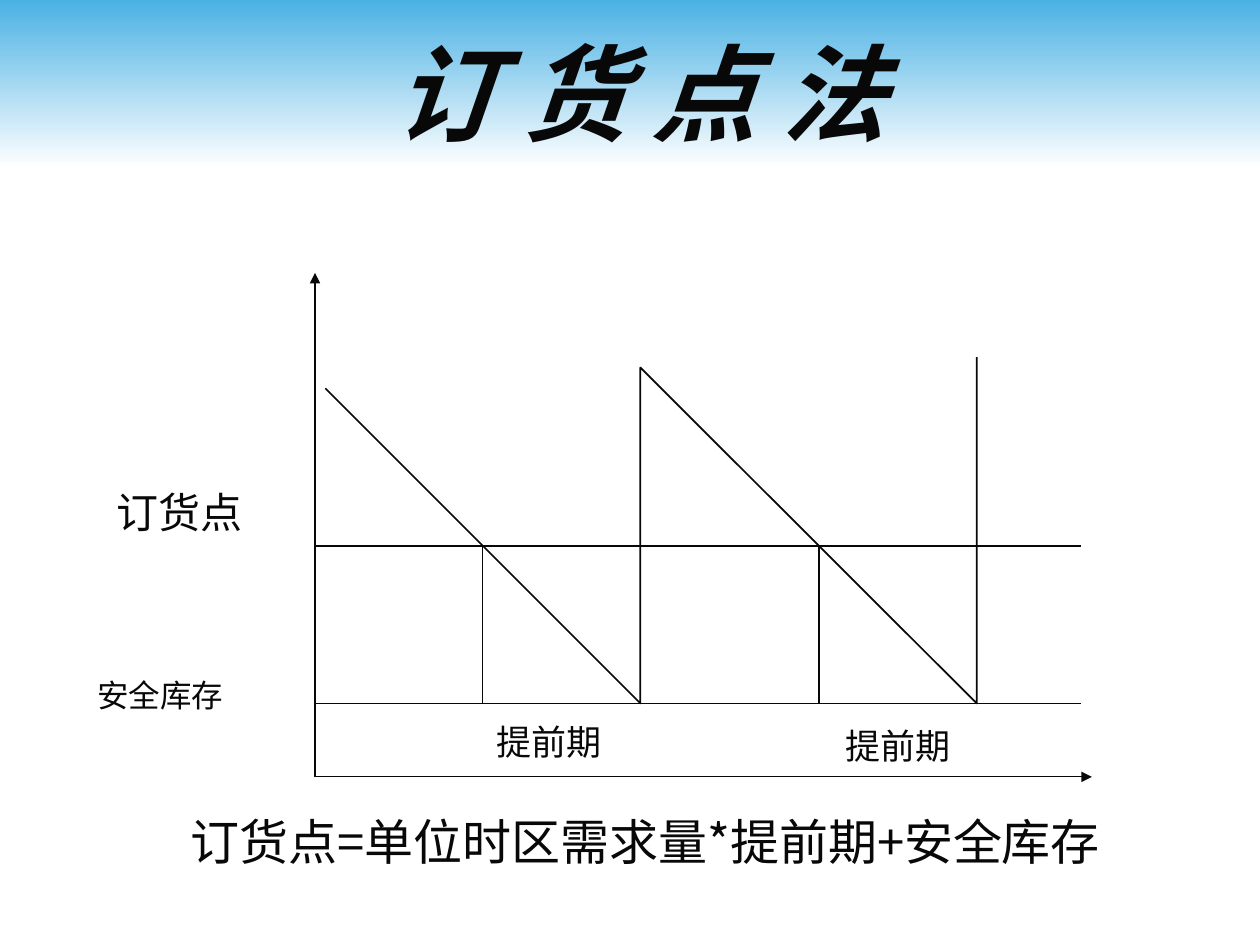
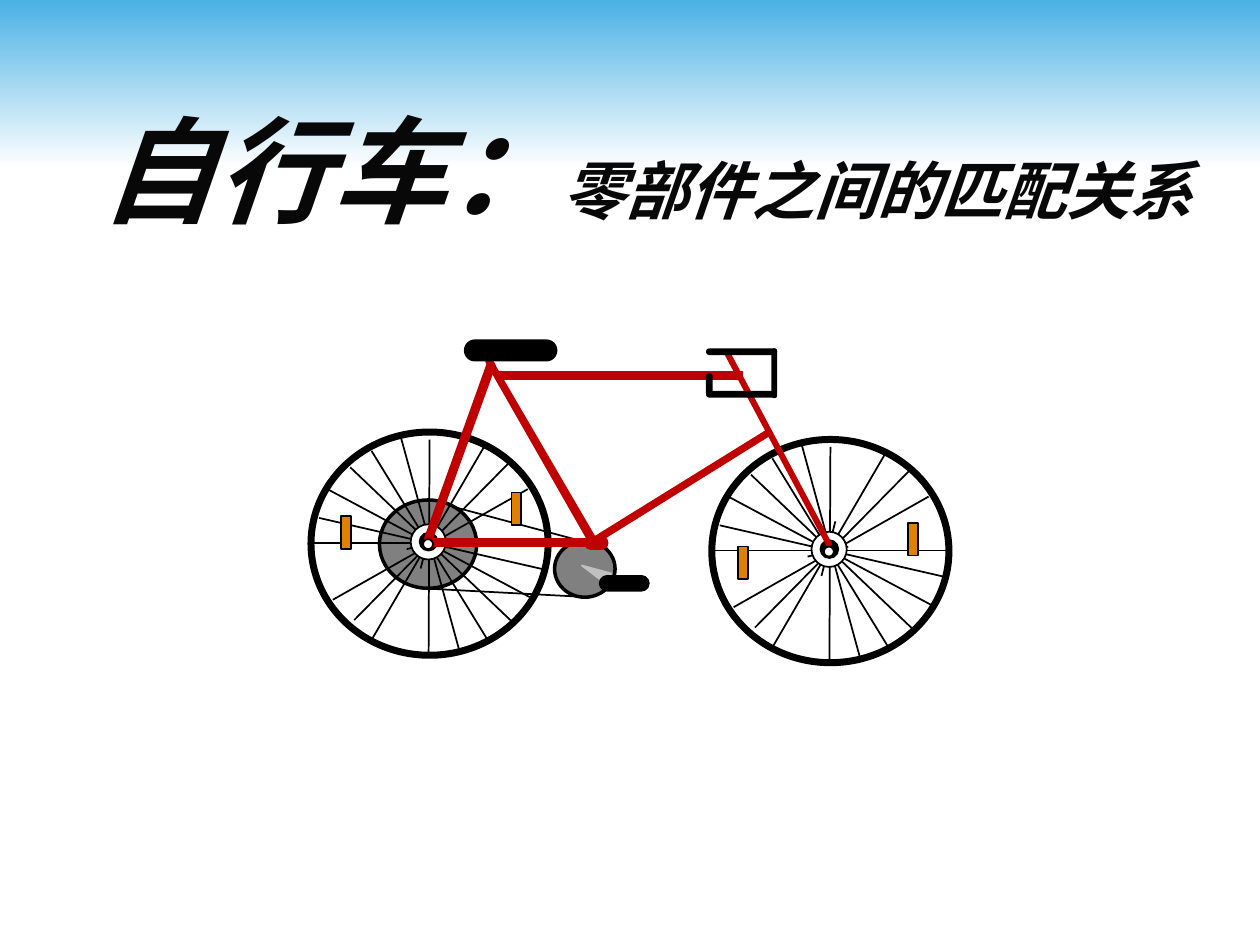
from lxml import etree
from pptx import Presentation
from pptx.dml.color import RGBColor
from pptx.enum.shapes import MSO_CONNECTOR, MSO_SHAPE
from pptx.enum.text import MSO_ANCHOR, MSO_AUTO_SIZE, PP_ALIGN
from pptx.oxml.ns import qn
from pptx.util import Cm, Pt

RECT, ROUND, OVAL = MSO_SHAPE.RECTANGLE, MSO_SHAPE.ROUNDED_RECTANGLE, MSO_SHAPE.OVAL
LEFT, CENTER = PP_ALIGN.LEFT, PP_ALIGN.CENTER
STRAIGHT = MSO_CONNECTOR.STRAIGHT
MIDDLE, TOP = MSO_ANCHOR.MIDDLE, MSO_ANCHOR.TOP
FIXED = MSO_AUTO_SIZE.NONE

SKY = RGBColor(0x4A, 0xB1, 0xE4)
WHITE = RGBColor(0xFF, 0xFF, 0xFF)
INK = RGBColor(0x08, 0x08, 0x08)
BLACK = RGBColor(0, 0, 0)
RED = RGBColor(0xC0, 0, 0)
GREY = RGBColor(0x80, 0x80, 0x80)
SILVER = RGBColor(0xC0, 0xC0, 0xC0)
AMBER = RGBColor(0xE0, 0x80, 0)

HAN, HAN_SC = "Noto Sans CJK JP", "Noto Sans CJK SC"
ARIAL, QUICK = "Arial", "Quicksand"


def line(slide, ends, color, width=1, arrow=False):
    link = slide.shapes.add_connector(STRAIGHT, *map(Cm, ends))
    link.line.color.rgb = color
    link.line.width = Pt(width)
    props = link.element.spPr
    if arrow:
        etree.SubElement(props.find(qn("a:ln")), qn("a:tailEnd"), type="triangle")
    etree.SubElement(props, qn("a:effectLst"))


def part(slide, form, spot, fill, rim, width=1):
    """Draw a preset in the box spot, or with form None an outline through its points."""
    if form is None:
        dots = [(Cm(x), Cm(y)) for x, y in spot]
        pen = slide.shapes.build_freeform(*dots[0])
        pen.add_line_segments(dots[1:], close=fill is not None)
        item = pen.convert_to_shape()
    else:
        item = slide.shapes.add_shape(form, *map(Cm, spot))
    if form == ROUND:
        item.adjustments[0] = 0.5
    item.shadow.inherit = False
    if fill is None:
        item.fill.background()
    else:
        item.fill.solid()
        item.fill.fore_color.rgb = fill
    item.line.color.rgb = rim
    item.line.width = Pt(width)
    return item


deck = Presentation()
deck.slide_width, deck.slide_height = Cm(25.4), Cm(19.05)
layout = deck.slide_layouts[5]
stock = deck.slides.add_slide(layout)
bike = deck.slides.add_slide(layout)

# Shared band, placed behind everything on the layout
band = part(stock, RECT, (0, 0, 25.4, 3.39), SKY, SKY)
band.line.fill.background()
band.fill.gradient()
band.fill.gradient_angle = 270
for stop, color in zip(band.fill.gradient_stops, (SKY, WHITE)):
    stop.color.rgb = color
layout.shapes.element.insert(2, band.element)

# Stock chart
x0, y0, right = 6.35, 15.66, 21.8
order, safe = 11, 14.18
for level in (order, safe):
    line(stock, (x0, level, right, level), INK)
saw = [(6.56, 7.83), (12.91, safe), (12.91, 7.41), (19.69, safe), (19.69, 7.2)]
part(stock, None, saw, None, INK)
for x in (9.73, 16.51):
    line(stock, (x, order, x, safe), INK, 0.75)
for tip in ((x0, 5.5), (22.01, y0)):
    line(stock, (x0, y0, *tip), INK, 0.75, arrow=True)

# Chain wheels and chain
line(bike, (8.74, 10.11, 11.96, 10.97), BLACK)
for spot in ((11.18, 10.9, 1.22, 1.14), (7.65, 10.08, 1.96, 1.78)):
    part(bike, OVAL, spot, GREY, BLACK, 2)

# Wheels: the front one repeats the rear one, shifted
spokes = [
    (7.49, 9.09, 9.83, 12.9), (7.49, 12.9, 9.78, 8.97),
    (6.32, 10.95, 11.02, 10.95), (6.6, 9.86, 10.74, 12.07),
    (8.66, 8.86, 8.64, 13.18), (6.71, 12.09, 10.64, 9.86),
    (8.2, 11.07, 9.02, 10.87), (7.06, 9.42, 10.34, 12.55),
    (8.08, 8.81, 9.25, 13.08), (8.76, 10.36, 8.48, 11.46),
    (10.24, 9.35, 7.14, 12.5), (6.43, 10.44, 10.97, 11.48),
]
shifts = [(0, 0), (8.08, 0.15)]
for dx, dy in shifts:
    part(bike, OVAL, (6.27 + dx, 8.71 + dy, 4.78, 4.5), None, BLACK, 4)
    for xa, ya, xb, yb in spokes:
        line(bike, (xa + dx, ya + dy, xb + dx, yb + dy), BLACK)
    part(bike, OVAL, (8.28 + dx, 10.57 + dy, 0.71, 0.71), WHITE, BLACK)
    part(bike, OVAL, (8.46 + dx, 10.74 + dy, 0.36, 0.36), BLACK, BLACK)

# Frame, saddle and fork
frame = [
    (RECT, (10.01, 7.49, 4.95, 0.15)),
    (None, [(11.91, 11.02), (15.49, 8.79), (15.44, 8.69), (11.84, 10.92)]),
    (None, [(9.88, 7.21), (9.8, 7.29), (11.96, 11.07), (12.09, 11)]),
    (None, [(9.88, 7.19), (8.56, 10.87), (8.71, 10.87), (9.98, 7.37)]),
    (RECT, (8.56, 10.87, 3.45, 0.15)),
    (ROUND, (11.79, 10.82, 0.46, 0.25)),
    (None, [(14.58, 7.06), (14.68, 7.06), (16.76, 10.97), (16.69, 11.02)]),
]
for form, spot in frame:
    part(bike, form, spot, RED, RED)
part(bike, ROUND, (9.37, 6.86, 1.85, 0.41), BLACK, BLACK)

# Axles and reflectors
for dx, dy in shifts:
    part(bike, OVAL, (8.53 + dx, 10.87 + dy, 0.2, 0.2), WHITE, BLACK)
for dx, dy in ((0, 0), (8, 0.61)):
    for x, y in ((6.88, 10.41), (10.31, 9.93)):
        part(bike, RECT, (x + dx, y + dy, 0.2, 0.66), AMBER, BLACK)

# Lower chain, handlebar, crank and pedal
line(bike, (8.51, 11.86, 11.91, 12.04), BLACK)
bars = [(14.25, 7.04, 1.4, 0.1), (14.25, 7.54, 0.1, 0.43),
        (15.57, 7.04, 0.08, 0.97), (14.25, 7.9, 1.37, 0.1)]
for spot in bars:
    part(bike, ROUND, spot, BLACK, BLACK)
part(bike, None, [(11.73, 11.4), (12.24, 11.79), (12.32, 11.56)], SILVER, SILVER)
part(bike, ROUND, (12.09, 11.61, 0.99, 0.3), BLACK, BLACK)

# Texts: slide, is title, box, alignment, wrap, runs of (text, size, font)
texts = [
    (stock, True, (1.27, 0.64, 22.86, 2.41), CENTER, True,
     [(" ", 48, ARIAL), ("订 货 点 法", 60, HAN)]),
    (stock, False, (1.9, 9.68, 4.24, 1.27), LEFT, True,
     [(" ", 24, HAN_SC), ("订货点", 24, HAN)]),
    (stock, False, (1.45, 13.51, 3.43, 1.02), CENTER, False,
     [(" ", 18, HAN_SC), ("安全库存", 18, HAN)]),
    (stock, False, (8.99, 14.4, 4.01, 1.09), CENTER, True,
     [(" ", 20, QUICK), ("提前期", 20, HAN)]),
    (stock, False, (15.34, 14.48, 5.38, 1.09), CENTER, True,
     [(" ", 20, QUICK), ("提前期", 20, HAN)]),
    (stock, False, (3.6, 16.23, 19.05, 2.64), LEFT, True,
     [("订货点=单位时区需求量*提前期+安全库存", 28, HAN)]),
    (bike, True, (1.7, 1.06, 22.66, 4.66), CENTER, True,
     [("自行车：", 66, ARIAL), ("零部件之间的匹配关系 ", 36, ARIAL)]),
]
for slide, head, spot, align, wrap, runs in texts:
    spot = [Cm(v) for v in spot]
    if head:
        box = slide.shapes.title
        box.left, box.top, box.width, box.height = spot
    else:
        box = slide.shapes.add_textbox(*spot)
    body = box.text_frame
    body.auto_size = FIXED
    body.word_wrap = wrap
    body.vertical_anchor = MIDDLE if head else TOP
    para = body.paragraphs[0]
    para.alignment = align
    for words, size, face in runs:
        run = para.add_run()
        run.text = words
        font = run.font
        font.size, font.name = Pt(size), face
        font.bold = font.italic = head
        font.color.rgb = INK
        latin = para.runs[-1]._r.rPr.find(qn("a:latin"))
        asian = etree.Element(qn("a:ea"), typeface=HAN)
        latin.addnext(asian)

deck.save("out.pptx")
